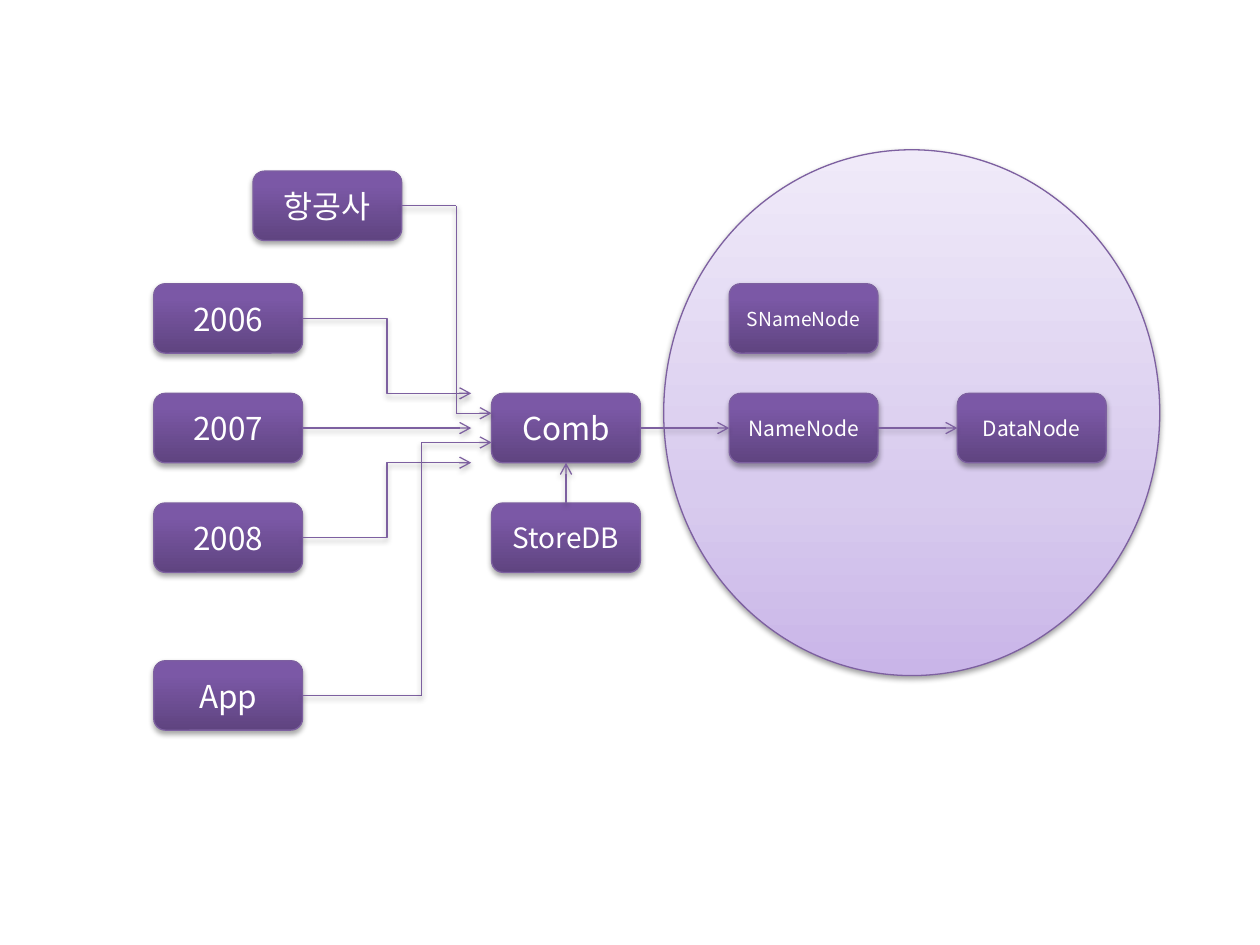
"""Builds a slide with a data flow from yearly files to a storage cluster."""
import itertools

import pptx
import pptx.dml.color
import pptx.enum.shapes
import pptx.enum.text
import pptx.oxml
import pptx.oxml.ns
import pptx.util
from pptx.util import Cm

FONT = "Noto Sans CJK KR"
WHITE = pptx.dml.color.RGBColor(0xFF, 0xFF, 0xFF)
PURPLE = pptx.dml.color.RGBColor(0x7D, 0x60, 0xA0)
BOX_GRADIENT = [(0, "5F4480"), (80, "7B58A6"), (100, "7C57A8")]
CLUSTER_GRADIENT = [(0, "C9B5E8"), (35, "D8CBEE"), (100, "F0EAF9")]

BOX_WIDTH, BOX_HEIGHT = 3, 1.4
ROWS = [5.72 + 2.21 * index for index in range(3)]
YEAR_LEFT, HUB_LEFT, NODE_LEFT, DATA_LEFT = 3.1, 9.91, 14.7, 19.3
YEAR_ARROW_END = 9.5
MIDDLE = ROWS[1] + BOX_HEIGHT / 2
TOP, BOTTOM, RIGHT, LEFT = 0, 2, 3, 1

CLUSTER = (13.38, 3.02, 10, 10.6)
BOXES = [
    ("2006", YEAR_LEFT, ROWS[0], 18),
    ("2007", YEAR_LEFT, ROWS[1], 18),
    ("2008", YEAR_LEFT, ROWS[2], 18),
    ("Comb", HUB_LEFT, ROWS[1], 18),
    ("StoreDB", HUB_LEFT, ROWS[2], 16),
    ("NameNode", NODE_LEFT, ROWS[1], 12),
    ("SNameNode", NODE_LEFT, ROWS[0], 11),
    ("DataNode", DATA_LEFT, ROWS[1], 12),
    ("App", YEAR_LEFT, 13.32, 18),
    ("항공사", 5.1, 3.45, 18),
]
YEAR_ARROWS = [("2006", ROWS[1]), ("2007", MIDDLE), ("2008", ROWS[1] + BOX_HEIGHT)]
LINKS = [
    ("StoreDB", TOP, "Comb", BOTTOM),
    ("Comb", RIGHT, "NameNode", LEFT),
    ("NameNode", RIGHT, "DataNode", LEFT),
]
ROUTES = [("App", 8.5, 8.92), ("항공사", 9.2, 8.33)]

STRAIGHT = pptx.enum.shapes.MSO_CONNECTOR.STRAIGHT
ELBOW = pptx.enum.shapes.MSO_CONNECTOR.ELBOW
SHAPES = pptx.enum.shapes.MSO_SHAPE
NAMESPACE = pptx.oxml.ns.nsdecls("a")


def add_shadow(shape, opacity=35, distance=1.8):
    shape._element.spPr.append(pptx.oxml.parse_xml(
        f'<a:effectLst {NAMESPACE}><a:outerShdw blurRad="40000" '
        f'dist="{pptx.util.Pt(distance)}" dir="5400000" rotWithShape="0">'
        f'<a:srgbClr val="000000"><a:alpha val="{opacity * 1000}"/></a:srgbClr>'
        '</a:outerShdw></a:effectLst>'))


def set_outline(shape):
    shape.line.color.rgb = PURPLE
    shape.line.width = pptx.util.Pt(0.75)


def add_filled_shape(kind, position, gradient, **shadow):
    shape = slide.shapes.add_shape(kind, *map(Cm, position))
    stops = "".join(f'<a:gs pos="{place * 1000}"><a:srgbClr val="{color}"/></a:gs>'
                    for place, color in gradient)
    shape._element.spPr.append(pptx.oxml.parse_xml(
        f'<a:gradFill {NAMESPACE} rotWithShape="1"><a:gsLst>{stops}</a:gsLst>'
        '<a:lin ang="16200000" scaled="0"/></a:gradFill>'))
    set_outline(shape)
    add_shadow(shape, **shadow)
    return shape


def write_text(shape, text, size, color=WHITE):
    frame = shape.text_frame
    frame.vertical_anchor = pptx.enum.text.MSO_ANCHOR.MIDDLE
    paragraph = frame.paragraphs[0]
    paragraph.alignment = pptx.enum.text.PP_ALIGN.CENTER
    run = paragraph.add_run()
    run.text = text
    run.font.size = pptx.util.Pt(size)
    run.font.name = FONT
    run.font.color.rgb = color
    run.font._element.append(
        pptx.oxml.parse_xml(f'<a:ea {NAMESPACE} typeface="{FONT}"/>'))


def add_line(start, end, kind=STRAIGHT, arrow=True):
    line = slide.shapes.add_connector(kind, *start, *end)
    set_outline(line)
    if arrow:
        line.line._get_or_add_ln().append(
            pptx.oxml.parse_xml(f'<a:tailEnd {NAMESPACE} type="arrow"/>'))
    add_shadow(line)
    return line


def right_middle(shape):
    return shape.left + shape.width, shape.top + shape.height // 2


presentation = pptx.Presentation()
presentation.slide_width, presentation.slide_height = Cm(25.4), Cm(19.05)
slide = presentation.slides.add_slide(presentation.slide_layouts[6])

add_filled_shape(SHAPES.OVAL, CLUSTER, CLUSTER_GRADIENT, opacity=38, distance=1.6)

boxes = {}
for name, left, top, size in BOXES:
    boxes[name] = add_filled_shape(
        SHAPES.ROUNDED_RECTANGLE, (left, top, BOX_WIDTH, BOX_HEIGHT), BOX_GRADIENT)
    write_text(boxes[name], name, size)

for name, height in YEAR_ARROWS:
    kind = STRAIGHT if height == MIDDLE else ELBOW
    arrow = add_line(right_middle(boxes[name]), (Cm(YEAR_ARROW_END), Cm(height)), kind)
    arrow.begin_connect(boxes[name], RIGHT)

for source, source_side, target, target_side in LINKS:
    link = add_line((0, 0), (0, 0))
    link.begin_connect(boxes[source], source_side)
    link.end_connect(boxes[target], target_side)

for name, turn, height in ROUTES:
    start = right_middle(boxes[name])
    points = [start, (Cm(turn), start[1]), (Cm(turn), Cm(height)),
              (Cm(HUB_LEFT), Cm(height))]
    for begin, end in itertools.pairwise(points):
        add_line(begin, end, arrow=end == points[-1])

presentation.save("out.pptx")
